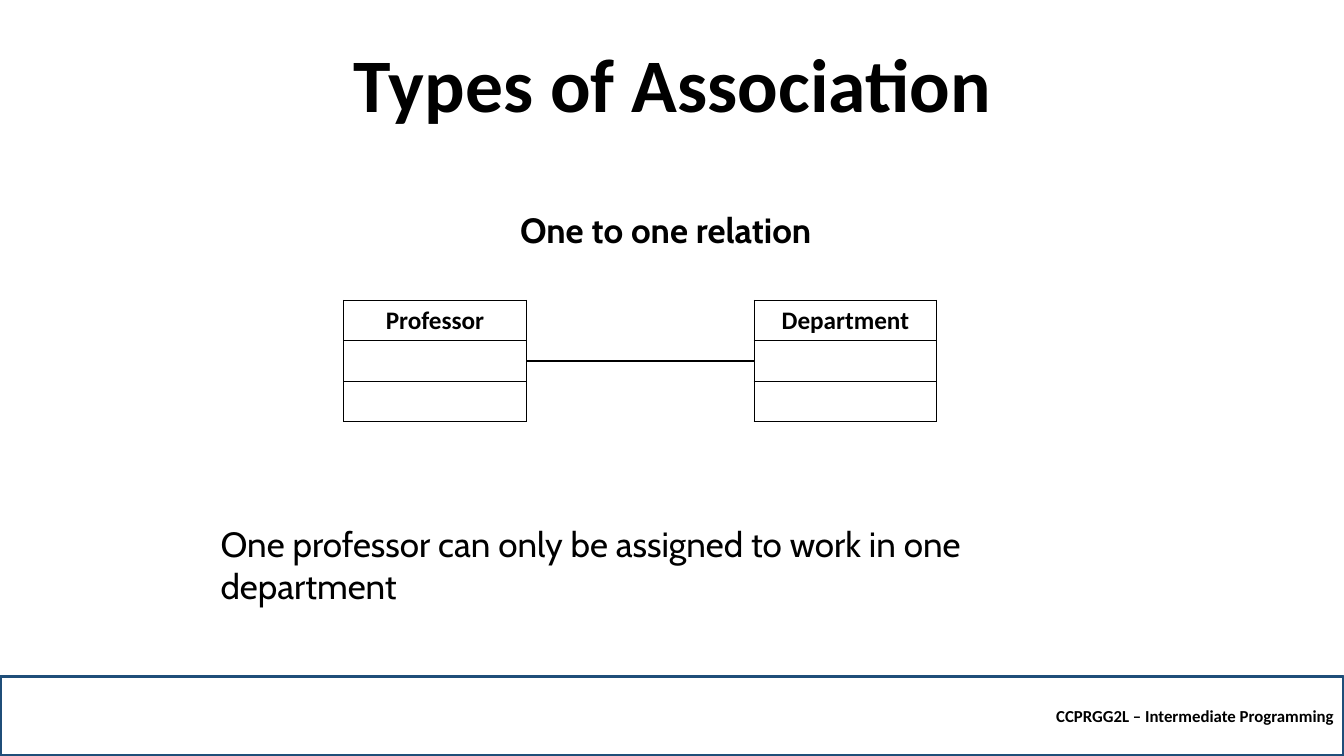
from lxml import etree
from pptx import Presentation
from pptx.dml.color import RGBColor
from pptx.enum.shapes import MSO_CONNECTOR, MSO_SHAPE
from pptx.enum.text import MSO_ANCHOR, PP_ALIGN
from pptx.oxml.ns import qn
from pptx.util import Inches, Pt

BLACK = RGBColor(0x00, 0x00, 0x00)
NAVY = RGBColor(0x1F, 0x4E, 0x79)
LEFT, CENTER, RIGHT = PP_ALIGN.LEFT, PP_ALIGN.CENTER, PP_ALIGN.RIGHT
TOP, MIDDLE, BOTTOM = MSO_ANCHOR.TOP, MSO_ANCHOR.MIDDLE, MSO_ANCHOR.BOTTOM

prs = Presentation()
prs.slide_width = Inches(13.33)
prs.slide_height = Inches(7.5)
slide = prs.slides.add_slide(prs.slide_layouts[6])
shapes = slide.shapes


def write(frame, text, size, face, bold, align):
    para = frame.paragraphs[0]
    para.text = text
    para.alignment = align
    font = para.font
    font.size = Pt(size)
    font.name = face
    font.bold = bold
    font.color.rgb = BLACK
    return para


def border(cell):
    props = cell._tc.get_or_add_tcPr()
    for i, side in enumerate(("lnL", "lnR", "lnT", "lnB")):
        line = etree.Element(qn("a:" + side), w=str(Pt(1)))
        fill = etree.SubElement(line, qn("a:solidFill"))
        etree.SubElement(fill, qn("a:srgbClr"), val=str(BLACK))
        props.insert(i, line)


# Footer bar
bar = shapes.add_shape(MSO_SHAPE.RECTANGLE, 0, Inches(6.71), prs.slide_width, Inches(0.79))
bar.shadow.inherit = False
bar.fill.background()
bar.line.color.rgb = NAVY
bar.line.width = Pt(2.25)
bar.text_frame.vertical_anchor = MIDDLE
write(bar.text_frame, "CCPRGG2L – Intermediate Programming", 12, "Calibri", True, RIGHT)

# Title, heading and explanation
texts = [
    ("Types of Association", 1.67, 0.54, 10, 0.79, 54, "Calibri", True, CENTER, BOTTOM, 0.9),
    ("One to one relation", 5.06, 2.02, 3.2, 0.52, 25, "Cabin", True, LEFT, TOP, 1.0),
    ("One professor can only be assigned to work in one department",
     2.09, 5.13, 9.14, 0.52, 25, "Cabin", False, LEFT, TOP, 1.0),
]
for text, x, y, w, h, size, face, bold, align, anchor, space in texts:
    frame = shapes.add_textbox(Inches(x), Inches(y), Inches(w), Inches(h)).text_frame
    frame.word_wrap = True
    frame.vertical_anchor = anchor
    write(frame, text, size, face, bold, align).line_spacing = space

# Class boxes
for name, x in (("Professor", 3.41), ("Department", 7.48)):
    table = shapes.add_table(3, 1, Inches(x), Inches(2.98), Inches(1.81), Inches(1.2)).table
    table.first_row = False
    table.horz_banding = False
    for cell in table.iter_cells():
        cell.fill.background()
        border(cell)
    write(table.cell(0, 0).text_frame, name, 18, "Calibri", True, CENTER)

# Association line
link = shapes.add_connector(MSO_CONNECTOR.STRAIGHT, Inches(5.22), Inches(3.58), Inches(7.48), Inches(3.58))
link.line.color.rgb = BLACK
link.line.width = Pt(1.5)
etree.SubElement(link._element.spPr, qn("a:effectLst"))

prs.save("out.pptx")
